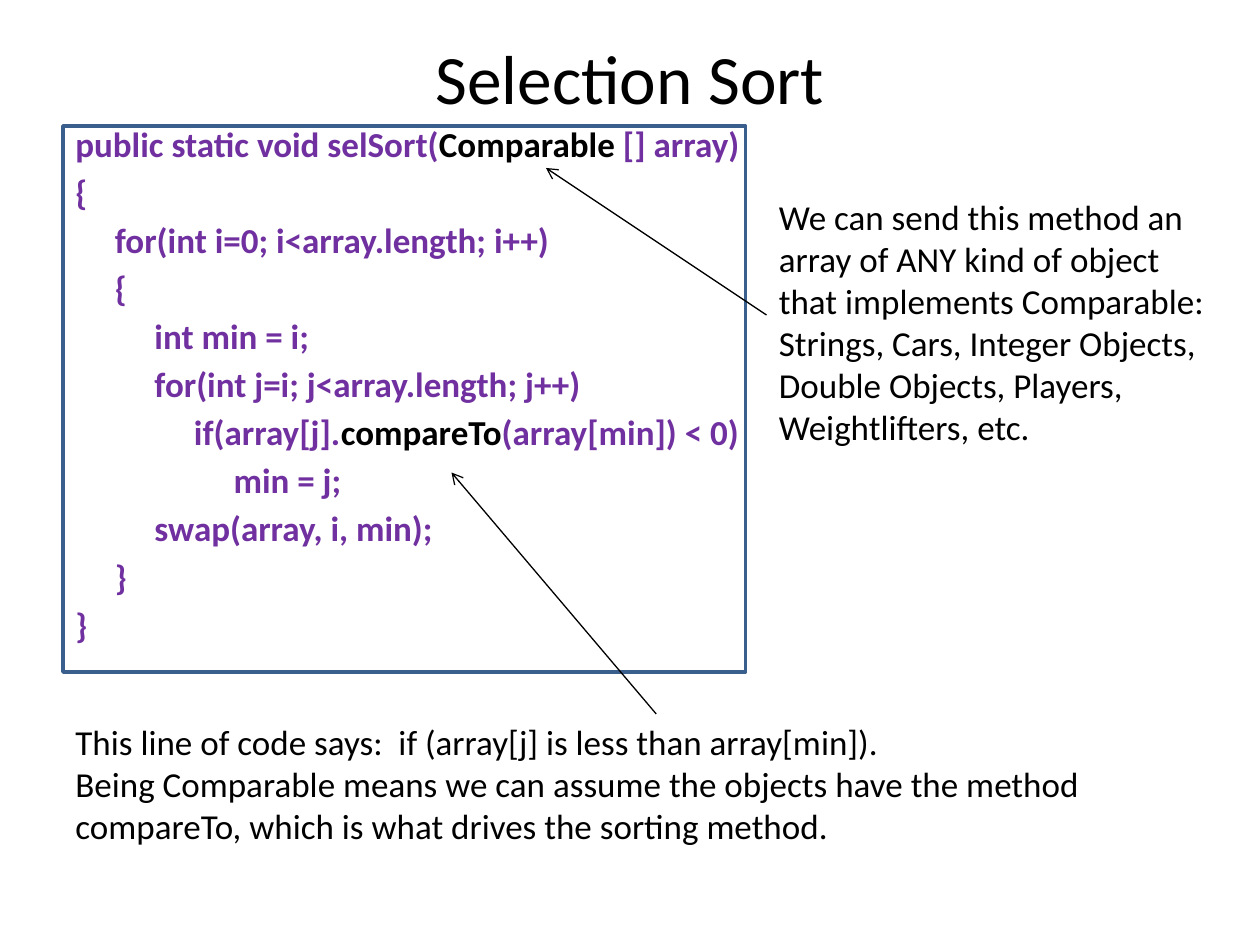
"""Build the Selection Sort slide with annotated code."""
from lxml.etree import SubElement
from pptx import Presentation
from pptx.dml.color import RGBColor
from pptx.enum.shapes import MSO_CONNECTOR, MSO_SHAPE
from pptx.enum.text import MSO_ANCHOR, PP_ALIGN
from pptx.oxml.ns import qn
from pptx.util import Pt

BLACK = RGBColor(0x00, 0x00, 0x00)
PURPLE = RGBColor(0x70, 0x30, 0xA0)
BLUE = RGBColor(0x3A, 0x5F, 0x8C)
FONT = "Calibri"

TITLE = ["Selection Sort"]
CODE = [
    "public static void selSort(Comparable [] array)",
    "{",
    "     for(int i=0; i<array.length; i++)",
    "     {",
    "          int min = i;",
    "          for(int j=i; j<array.length; j++)",
    "               if(array[j].compareTo(array[min]) < 0)",
    "                    min = j;",
    "          swap(array, i, min);",
    "     }",
    "}",
]
KEYWORDS = ["Comparable", "compareTo"]
PARAMETER_NOTE = [
    "We can send this method an array of ANY kind of object that implements Comparable:",
    "Strings, Cars, Integer Objects, Double Objects, Players, Weightlifters, etc.",
]
COMPARE_NOTE = [
    "This line of code says:  if (array[j] is less than array[min]).",
    "Being Comparable means we can assume the objects have the method compareTo, "
    "which is what drives the sorting method.",
]
ARROWS = [((438, 180), (312, 96)), ((375, 408), (258, 270))]


def split_keywords(line):
    for word in KEYWORDS:
        if word in line:
            before, after = line.split(word)
            return [(before, PURPLE), (word, BLACK), (after, PURPLE)]
    return [(line, PURPLE)]


def plain(lines):
    return [[(line, BLACK)] for line in lines]


def add_text(s, box, paragraphs, size=20, bold=False, gap=0,
             align=PP_ALIGN.LEFT, anchor=MSO_ANCHOR.TOP):
    tf = s.shapes.add_textbox(*map(Pt, box)).text_frame
    tf.word_wrap = True
    tf.vertical_anchor = anchor
    for i, parts in enumerate(paragraphs):
        p = tf.add_paragraph() if i else tf.paragraphs[0]
        p.alignment = align
        if i and gap:
            p.space_before = Pt(gap)
        for text, color in parts:
            r = p.add_run()
            r.text = text
            r.font.name = FONT
            r.font.size = Pt(size)
            r.font.bold = bold
            r.font.color.rgb = color


def add_frame(s, box):
    sp = s.shapes.add_shape(MSO_SHAPE.RECTANGLE, *map(Pt, box))
    sp.shadow.inherit = False
    sp.fill.background()
    sp.line.color.rgb = BLUE
    sp.line.width = Pt(2)


def add_arrow(s, start, end):
    c = s.shapes.add_connector(MSO_CONNECTOR.STRAIGHT, *map(Pt, start + end))
    c.line.color.rgb = BLACK
    c.line.width = Pt(0.75)
    SubElement(c.line._get_or_add_ln(), qn("a:tailEnd"), type="arrow")
    SubElement(c._element.spPr, qn("a:effectLst"))


def main():
    prs = Presentation()
    prs.slide_width, prs.slide_height = Pt(720), Pt(540)
    s = prs.slides.add_slide(prs.slide_layouts[6])
    add_text(s, (36, 21.6, 648, 44.6), plain(TITLE), size=39.6,
             align=PP_ALIGN.CENTER, anchor=MSO_ANCHOR.MIDDLE)
    add_text(s, (36, 66.2, 402, 324), [split_keywords(line) for line in CODE],
             bold=True, gap=3.5)
    add_frame(s, (36, 72, 390, 312))
    add_text(s, (438, 108, 258, 152.6), plain(PARAMETER_NOTE))
    add_text(s, (36, 408, 660, 104.4), plain(COMPARE_NOTE))
    for start, end in ARROWS:
        add_arrow(s, start, end)
    prs.save("out.pptx")


if __name__ == "__main__":
    main()
